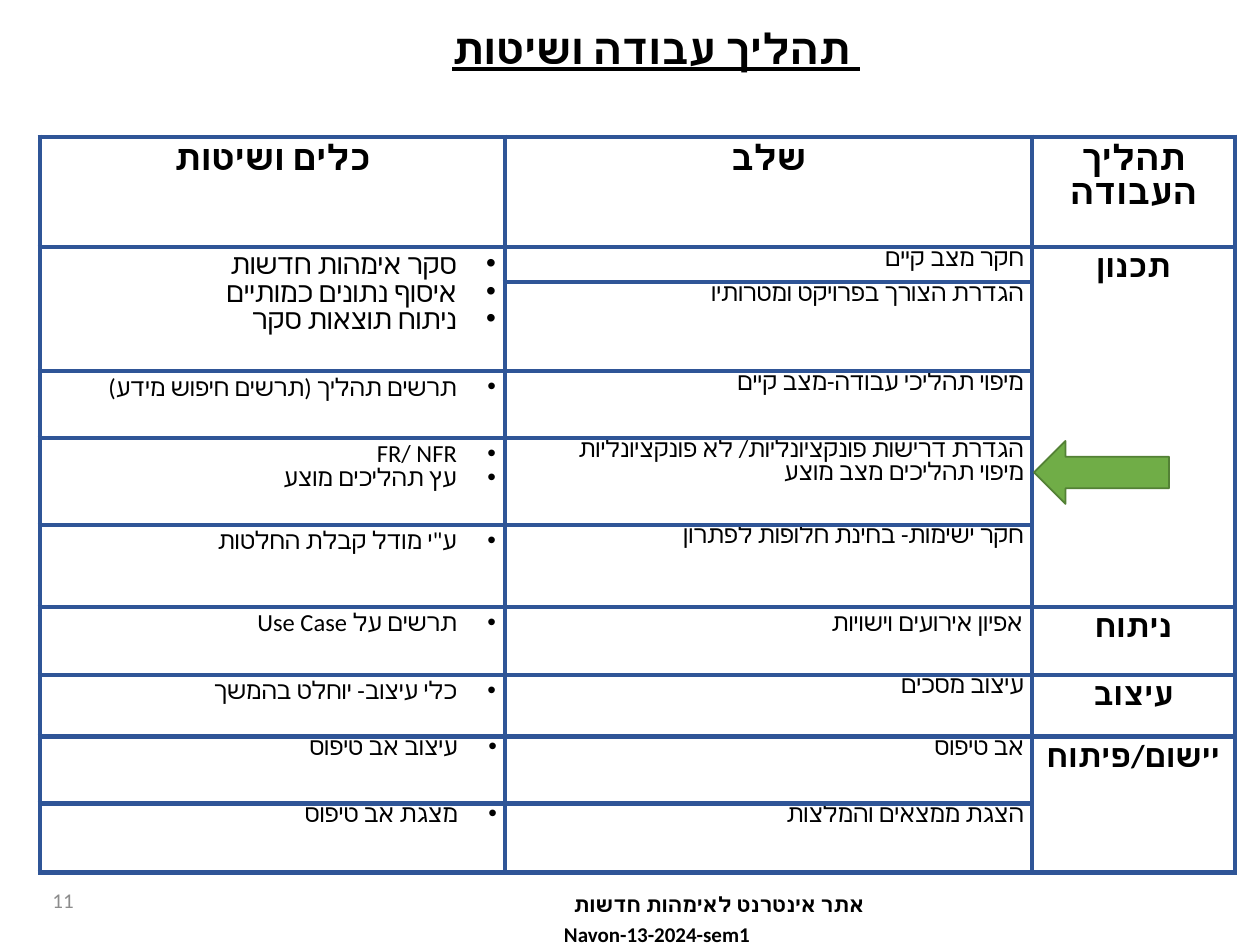
from pptx import Presentation
from pptx.dml.color import RGBColor
from pptx.enum.shapes import MSO_SHAPE
from pptx.enum.text import MSO_ANCHOR, PP_ALIGN
from pptx.oxml.ns import qn
from pptx.util import Pt
from lxml.etree import SubElement

BLACK = RGBColor(0x00, 0x00, 0x00)
GREY = RGBColor(0x8C, 0x8C, 0x8C)
BORDER_BLUE = RGBColor(0x2F, 0x55, 0x97)
ARROW_GREEN = RGBColor(0x70, 0xAD, 0x47)
ARROW_EDGE = RGBColor(0x53, 0x81, 0x35)
FONT = "Calibri"
TITLE_ONLY = 5

COLUMN_WIDTHS = [465, 527, 203]
ROW_HEIGHTS = [110, 35, 89, 67, 87, 82, 68, 62, 67, 69]
PADDED = (9, 6)
TIGHT = (8, 0)
BULLET_INDENT = 39

HEADERS = [["כלים ושיטות"], ["שלב"], ["תהליך", "העבודה"]]
# First row, last row, lines, size, cell insets
TOOLS = [
    (1, 2, ["סקר אימהות חדשות", "איסוף נתונים כמותיים", "ניתוח תוצאות סקר"], 16, PADDED),
    (3, 3, ["תרשים תהליך (תרשים חיפוש מידע)"], 14, PADDED),
    (4, 4, ["FR/ NFR", "עץ תהליכים מוצע"], 14, PADDED),
    (5, 5, ["ע\"י מודל קבלת החלטות"], 14, PADDED),
    (6, 6, ["תרשים על Use Case"], 14, PADDED),
    (7, 7, ["כלי עיצוב- יוחלט בהמשך"], 14, PADDED),
    (8, 8, ["עיצוב אב טיפוס"], 14, TIGHT),
    (9, 9, ["מצגת אב טיפוס"], 14, TIGHT),
]
STAGES = [
    (["חקר מצב קיים"], TIGHT),
    (["הגדרת הצורך בפרויקט ומטרותיו"], TIGHT),
    (["מיפוי תהליכי עבודה-מצב קיים"], TIGHT),
    (["הגדרת דרישות פונקציונליות/ לא פונקציונליות", "מיפוי תהליכים מצב מוצע"], TIGHT),
    (["חקר ישימות- בחינת חלופות לפתרון"], TIGHT),
    (["אפיון אירועים וישויות"], PADDED),
    (["עיצוב מסכים"], TIGHT),
    (["אב טיפוס"], TIGHT),
    (["הצגת ממצאים והמלצות"], TIGHT),
]
PHASES = [(1, 5, "תכנון"), (6, 6, "ניתוח"), (7, 7, "עיצוב"), (8, 9, "יישום/פיתוח")]


def px(length):
    return round(length * 914400 / 126)


class SlideBuilder:
    def __init__(self, slide):
        self.slide = slide

    def styled_run(self, paragraph, text, size, bold=False, color=BLACK,
                   align=PP_ALIGN.CENTER, rtl=True, underline=None):
        paragraph.alignment = align
        if rtl:
            paragraph._p.get_or_add_pPr().set("rtl", "1")
        run = paragraph.add_run()
        run.text = text
        font = run.font
        font.size, font.bold, font.underline = Pt(size), bold, underline
        font.color.rgb = color
        font.name = FONT
        SubElement(run._r.get_or_add_rPr(), qn("a:cs"), typeface=FONT)

    def title(self, text, left, top, width, height):
        shape = self.slide.shapes.title
        shape.left, shape.top, shape.width, shape.height = map(px, (left, top, width, height))
        shape.text_frame.vertical_anchor = MSO_ANCHOR.TOP
        self.styled_run(shape.text_frame.paragraphs[0], text, 24, bold=True, underline=True)

    def text_box(self, left, top, width, height):
        frame = self.slide.shapes.add_textbox(*map(px, (left, top, width, height))).text_frame
        frame.word_wrap = True
        frame.vertical_anchor = MSO_ANCHOR.MIDDLE
        return frame

    def table(self, left, top):
        size = sum(COLUMN_WIDTHS), sum(ROW_HEIGHTS)
        table = self.slide.shapes.add_table(
            len(ROW_HEIGHTS), len(COLUMN_WIDTHS), *map(px, (left, top, *size))).table
        table.first_row = table.horz_banding = False
        for column, width in zip(table.columns, COLUMN_WIDTHS):
            column.width = px(width)
        for row, height in zip(table.rows, ROW_HEIGHTS):
            row.height = px(height)
        for cell in table.iter_cells():
            self.borders(cell)
            cell.fill.background()
        return table

    def borders(self, cell):
        properties = cell._tc.get_or_add_tcPr()
        for side in ("lnL", "lnR", "lnT", "lnB"):
            line = SubElement(properties, qn(f"a:{side}"), w=str(Pt(3)))
            fill = SubElement(line, qn("a:solidFill"))
            SubElement(fill, qn("a:srgbClr"), val=str(BORDER_BLUE))

    def cell(self, cell, lines, size, insets=PADDED, bold=False,
             align=PP_ALIGN.CENTER, bullet=False):
        cell.margin_left = cell.margin_right = px(insets[0])
        cell.margin_top = cell.margin_bottom = px(insets[1])
        frame = cell.text_frame
        for index, line in enumerate(lines):
            paragraph = frame.add_paragraph() if index else frame.paragraphs[0]
            if bullet:
                self.bullet(paragraph)
            paragraph.line_spacing = 0.8
            self.styled_run(paragraph, line, size, bold, align=align)

    def bullet(self, paragraph):
        properties = paragraph._p.get_or_add_pPr()
        properties.set("marR", "0")
        properties.set("marL", str(px(BULLET_INDENT)))
        properties.set("indent", str(-px(BULLET_INDENT)))
        SubElement(properties, qn("a:buFont"), typeface="Arial")
        SubElement(properties, qn("a:buChar"), char="•")

    def left_arrow(self, left, top, width, height):
        shape = self.slide.shapes.add_shape(
            MSO_SHAPE.LEFT_ARROW, *map(px, (left, top, width, height)))
        shape.shadow.inherit = False
        shape.fill.solid()
        shape.fill.fore_color.rgb = ARROW_GREEN
        shape.line.color.rgb = ARROW_EDGE
        shape.line.width = Pt(1)


def add_footer(builder):
    frame = builder.text_box(391, 895, 532, 48)
    project = frame.paragraphs[0]
    builder.styled_run(project, "אתר אינטרנט לאימהות חדשות", 12, bold=True,
                       align=PP_ALIGN.RIGHT)
    project._p.get_or_add_pPr().set("marL", str(px(46)))
    course = frame.add_paragraph()
    course.space_before = Pt(2.4)
    builder.styled_run(course, "Navon-13-2024-sem1", 12, bold=True)
    number = builder.text_box(40, 875, 284, 50).paragraphs[0]
    builder.styled_run(number, "11", 12, color=GREY, align=PP_ALIGN.LEFT, rtl=False)


def add_process_table(builder):
    table = builder.table(40, 137)
    for column, lines in enumerate(HEADERS):
        builder.cell(table.cell(0, column), lines, 20, bold=True)
    for first, last, lines, size, insets in TOOLS:
        cell = table.cell(first, 0)
        if last > first:
            cell.merge(table.cell(last, 0))
        builder.cell(cell, lines, size, insets, align=PP_ALIGN.RIGHT, bullet=True)
    for row, (lines, insets) in enumerate(STAGES, start=1):
        builder.cell(table.cell(row, 1), lines, 14, insets, align=PP_ALIGN.RIGHT)
    for first, last, name in PHASES:
        cell = table.cell(first, 2)
        if last > first:
            cell.merge(table.cell(last, 2))
        builder.cell(cell, [name], 18, bold=True)


def main():
    presentation = Presentation()
    presentation.slide_width, presentation.slide_height = px(1260), px(945)
    slide = presentation.slides.add_slide(presentation.slide_layouts[TITLE_ONLY])
    builder = SlideBuilder(slide)
    builder.title(" תהליך עבודה ושיטות", 262, 16, 788, 63)
    add_footer(builder)
    add_process_table(builder)
    builder.left_arrow(1034, 441, 135, 63)
    presentation.save("out.pptx")


if __name__ == "__main__":
    main()
